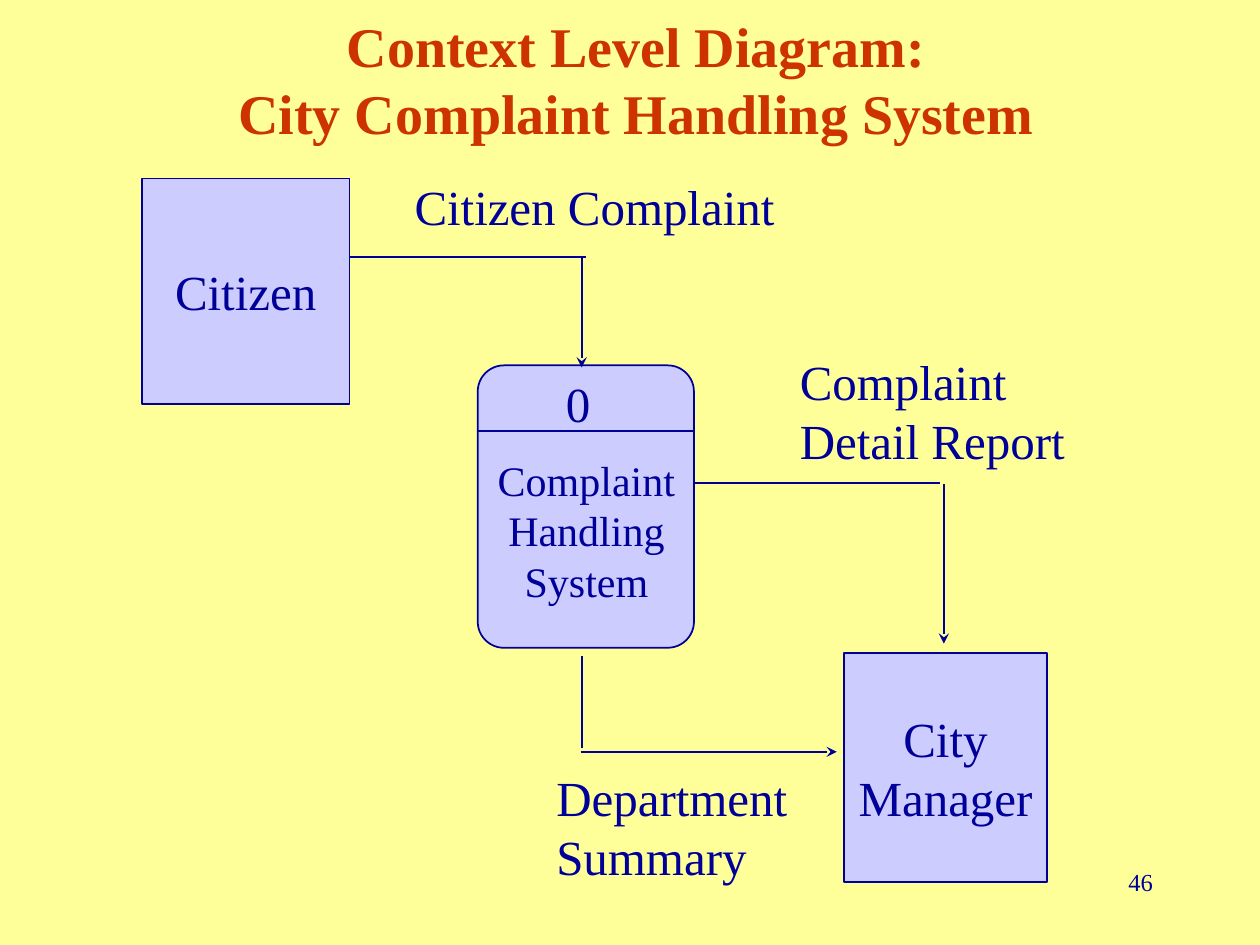
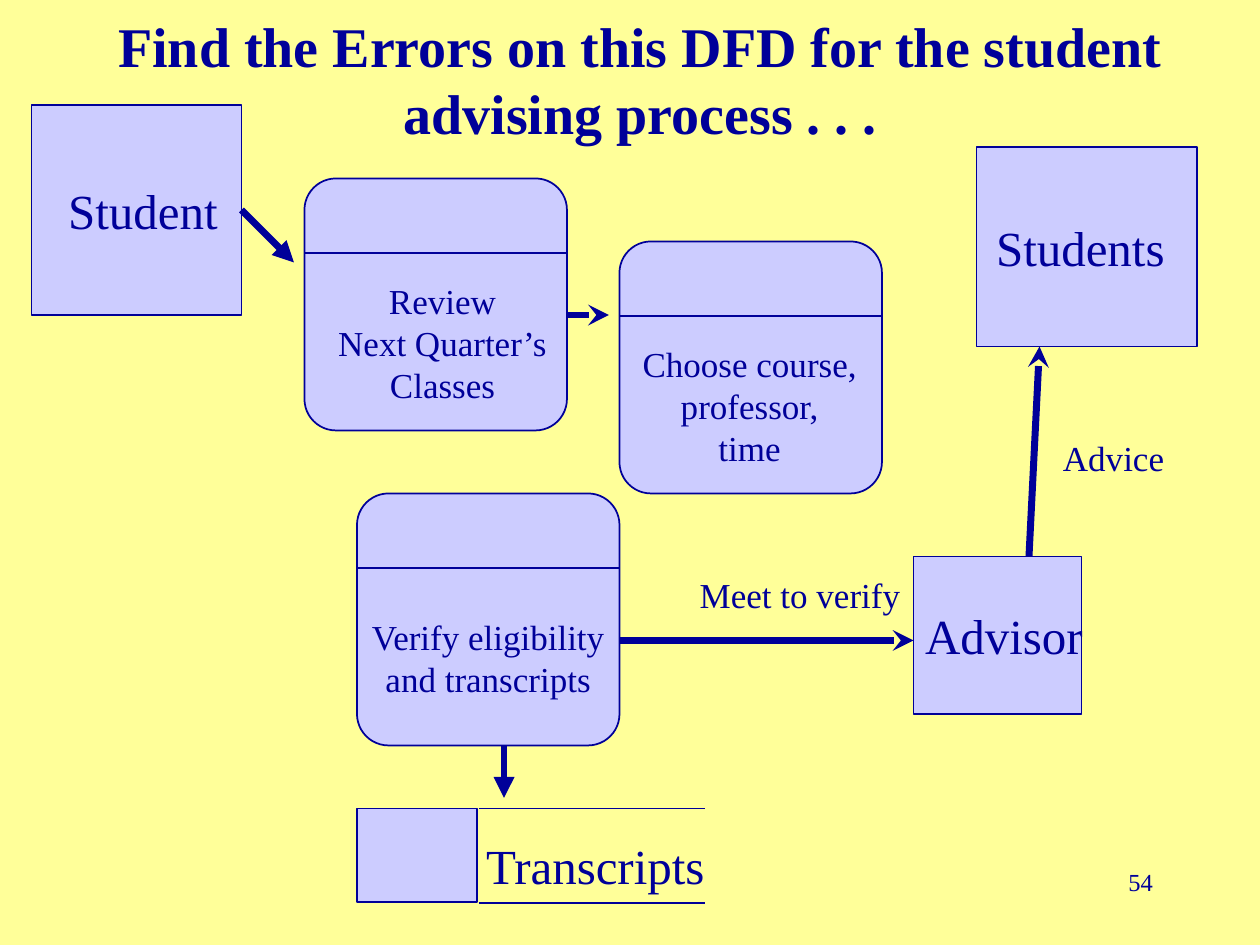
from lxml import etree
from pptx import Presentation
from pptx import util as u
from pptx.dml.color import RGBColor
from pptx.enum import shapes, text
from pptx.oxml.ns import qn

# Shared look; every length below counts grid units of 1/12 inch (slide: 120 x 90)
COLUMNS, ROWS = 120, 90
UNIT = u.Inches(1) / 12
FONT, INK, RED, FILL, PAPER = "Times New Roman", "000099", "CC3300", "CCCCFF", "FFFF99"
LEFT, CENTER, RIGHT = text.PP_ALIGN.LEFT, text.PP_ALIGN.CENTER, text.PP_ALIGN.RIGHT
TOP, MIDDLE = text.MSO_ANCHOR.TOP, text.MSO_ANCHOR.MIDDLE
PAGE_NUMBER_AT = (86, 82, 25, 6)
INSET = 1.2

# Content: places are (left, top, width, height), lines are (x1, y1, x2, y2)
SLIDES = [
    {
        "title": "Context Level Diagram:\nCity Complaint Handling System",
        "title_left": 9.6, "title_color": RED, "number": "46",
        "header": 6.25, "radius": 2.5,
        "processes": [(45.5, 34.8, 20.6, 26.9)],
        "entities": [
            ("Citizen", (13.5, 17, 19.8, 21.5), {}),
            ("City\nManager", (80.4, 62.2, 19.3, 21.8), {}),
        ],
        "lines": [
            ((33.3, 24.5, 55.8, 24.5), {}),
            ((55.4, 24.6, 55.4, 35), {"head": "stealth"}),
            ((55.4, 62.5, 55.4, 71.2), {}),
            ((55.3, 71.6, 79.7, 71.6), {"head": "stealth"}),
            ((66.2, 46, 89.5, 46), {}),
            ((89.9, 46.1, 89.9, 61.3), {"head": "stealth"}),
        ],
        "labels": [
            ("Complaint\nHandling\nSystem", (46.2, 42.7, 19.3, 15.6), {"size": 24, "align": CENTER}),
            ("0", (52.7, 35, 4.7, 6.7), {}),
            ("Citizen Complaint", (38.3, 16.2, 36.7, 6.7), {}),
            ("Department\nSummary", (51.8, 72.5, 24.4, 12.4), {}),
            ("Complaint\nDetail Report", (75, 32.9, 27.6, 12.4), {}),
        ],
    },
    {
        "title": "Find the Errors on this DFD for the student advising process . . .",
        "title_left": 10, "title_color": INK, "number": "54",
        "header": 7.1, "radius": 3,
        "processes": [(29, 17, 25, 24), (59, 23, 25, 24), (34, 47, 25, 24)],
        "entities": [
            ("Student", (3, 10, 20, 20), {"left": 2 * INSET}),
            ("Students", (93, 14, 21, 19), {"right": 2 * INSET}),
            ("Advisor", (87, 53, 16, 15), {"left": 2 * INSET}),
            ("", (34, 77, 11.4, 8.9), {}),
        ],
        "lines": [
            ((45.6, 77, 67.1, 77), {}),
            ((45.6, 86, 67.1, 86), {}),
            ((23, 20, 28, 25), {"width": 4, "head": "triangle", "start": "Student"}),
            ((48, 71, 48, 76), {"width": 4, "head": "triangle"}),
            ((54, 30, 58, 30), {"width": 4, "head": "stealth"}),
            ((98, 53, 99, 33), {"width": 4, "head": "stealth"}),
            ((59, 61, 87, 61), {"width": 4, "head": "stealth"}),
        ],
        "labels": [
            ("Review\nNext Quarter’s\nClasses", (31, 26, 22.3, 13.2), {"size": 20, "align": CENTER}),
            ("Choose course,\nprofessor,\ntime", (60, 32, 22.8, 13.2), {"size": 20, "align": CENTER}),
            ("Verify eligibility\nand transcripts", (34, 58, 25, 9.2), {"size": 20, "align": CENTER}),
            ("Transcripts", (45, 79, 23.4, 6.8), {"align": CENTER}),
            ("Advice", (100, 41, 12.1, 5.2), {"size": 20, "align": CENTER}),
            ("Meet to verify", (51, 54, 50.4, 5.2), {"size": 20, "align": CENTER}),
        ],
    },
]


def color(value):
    return RGBColor.from_string(value)


def grid(*units):
    return [round(unit * UNIT) for unit in units]


def write(box, words, size=28, ink=INK, bold=False, align=LEFT, anchor=TOP,
          wrap=False, left=INSET, right=INSET):
    frame = box.text_frame
    frame.auto_size = text.MSO_AUTO_SIZE.NONE
    frame.word_wrap, frame.vertical_anchor = wrap, anchor
    frame.margin_left, frame.margin_right = grid(left, right)
    frame.margin_top = frame.margin_bottom = u.Inches(0.05)
    for index, line in enumerate(words.split("\n")):
        para = frame.paragraphs[0] if index == 0 else frame.add_paragraph()
        para.alignment = align
        span = para.add_run()
        span.text = line
        span.font.name, span.font.size, span.font.bold = FONT, u.Pt(size), bold
        span.font.color.rgb = color(ink)


def add_label(page, words, place, **look):
    write(page.shapes.add_textbox(*grid(*place)), words, **look)


def add_box(page, place, kind=shapes.MSO_SHAPE.RECTANGLE):
    box = page.shapes.add_shape(kind, *grid(*place))
    box.shadow.inherit = False
    box.fill.solid()
    box.fill.fore_color.rgb = color(FILL)
    box.line.color.rgb = color(INK)
    box.line.width = u.Pt(1)
    return box


def add_line(page, ends, width=1, head=None, start=None):
    line = page.shapes.add_connector(shapes.MSO_CONNECTOR.STRAIGHT, *grid(*ends))
    line.line.color.rgb = color(INK)
    line.line.width = u.Pt(width)
    if head:
        etree.SubElement(line.line._get_or_add_ln(), qn("a:tailEnd"), type=head)
    etree.SubElement(line._element.spPr, qn("a:effectLst"))
    if start is not None:
        line.begin_connect(start, 3)


def add_process(page, place, header, radius):
    left, top, width, height = place
    box = add_box(page, place, shapes.MSO_SHAPE.ROUNDED_RECTANGLE)
    box.adjustments[0] = radius / min(width, height)
    add_line(page, (left, top + header, left + width, top + header))


def build_slide(deck, content):
    page = deck.slides.add_slide(deck.slide_layouts.get_by_name("Title Only"))

    # Title and page number
    title = page.shapes.title
    title.left, title.top, title.width, title.height = grid(content["title_left"], 0, 102, 15)
    write(title, content["title"], size=32, ink=content["title_color"], bold=True,
          align=CENTER, anchor=MIDDLE, wrap=True)
    add_label(page, content["number"], PAGE_NUMBER_AT, size=14, align=RIGHT, wrap=True)

    # Processes and entities
    for place in content["processes"]:
        add_process(page, place, content["header"], content["radius"])
    entities = {}
    for name, place, insets in content["entities"]:
        entities[name] = add_box(page, place)
        if name:
            write(entities[name], name, align=CENTER, anchor=MIDDLE, **insets)

    # Flows and their labels
    for ends, look in content["lines"]:
        add_line(page, ends, **{**look, "start": entities.get(look.get("start"))})
    for words, place, look in content["labels"]:
        add_label(page, words, place, **look)


def main():
    deck = Presentation()
    deck.slide_width, deck.slide_height = grid(COLUMNS, ROWS)
    backdrop = deck.slide_master.background.fill
    backdrop.solid()
    backdrop.fore_color.rgb = color(PAPER)
    for content in SLIDES:
        build_slide(deck, content)
    deck.save("out.pptx")


if __name__ == "__main__":
    main()
